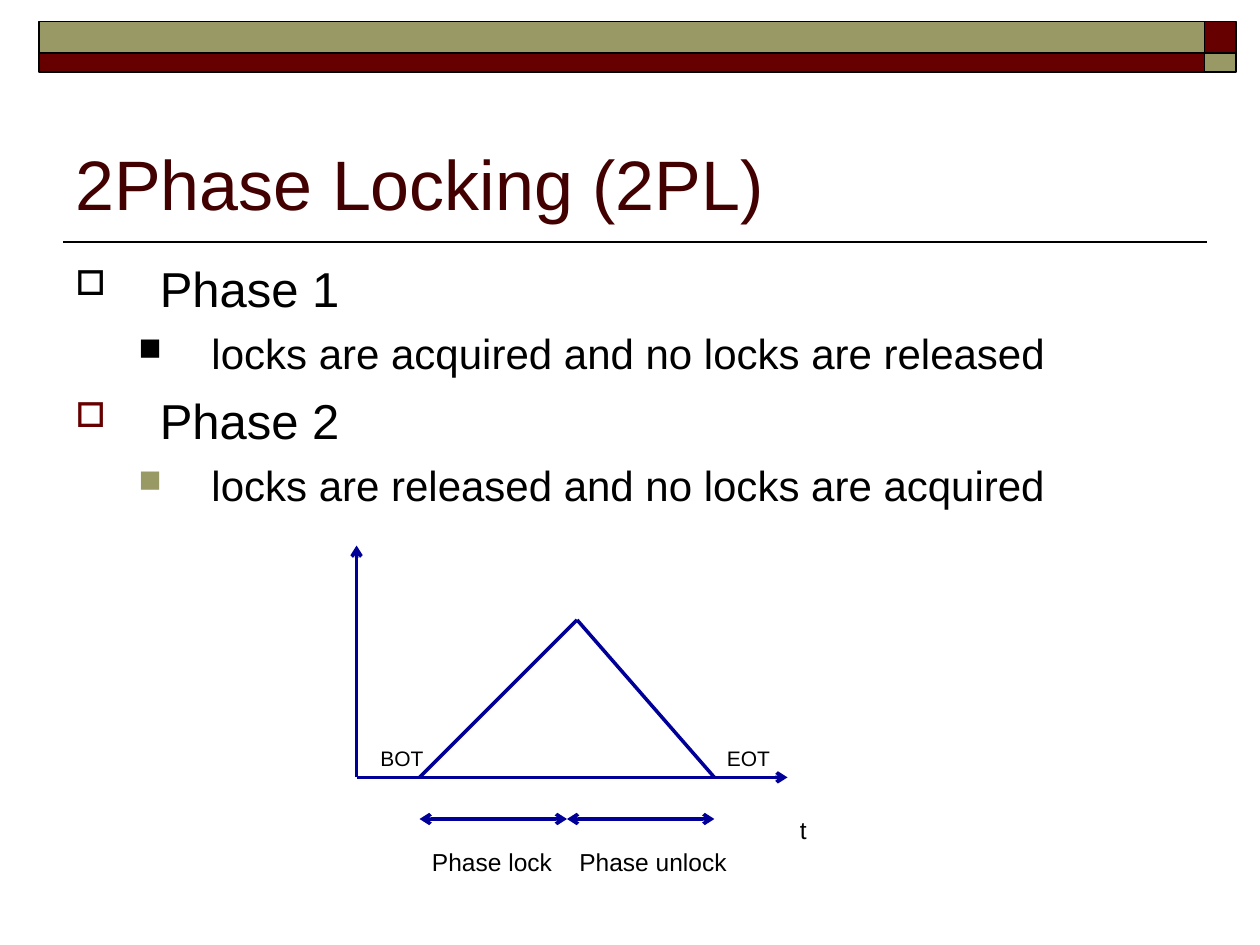
import pptx
import pptx.util
import pptx.dml.color
import pptx.enum.shapes
import pptx.enum.text
import lxml.etree
from pptx.util import Inches, Pt

BLACK, MAROON, OLIVE, NAVY = "000000", "660000", "999966", "000099"


def color(code):
    return pptx.dml.color.RGBColor.from_string(code)


def add(parent, tag, **attrs):
    node = lxml.etree.SubElement(parent, pptx.oxml.ns.qn(tag))
    for key, value in attrs.items():
        node.set(key, str(value))
    return node


deck = pptx.Presentation()
deck.slide_width, deck.slide_height = Inches(10), Inches(7.5)
slide = deck.slides.add_slide(deck.slide_layouts[6])
shapes = slide.shapes

# Header band: two rows, with the colours swapped in the right column
for left, width, fills in [(0.31, 9.25, (OLIVE, MAROON)), (9.56, 0.25, (MAROON, OLIVE))]:
    for top, height, fill in zip((0.17, 0.42), (0.25, 0.15), fills):
        bar = shapes.add_shape(pptx.enum.shapes.MSO_SHAPE.RECTANGLE,
                               Inches(left), Inches(top), Inches(width), Inches(height))
        bar.shadow.inherit = False
        bar.fill.solid()
        bar.fill.fore_color.rgb = color(fill)
        bar.line.color.rgb = color(BLACK)
        bar.line.width = Pt(1)

# Title rule, chart axes, lock curve and phase spans
lines = [
    (0.5, 1.92, 9.58, 1.92, BLACK, 1, ()),
    (2.83, 6.17, 2.83, 4.33, NAVY, 2, ("a:tailEnd",)),
    (2.83, 6.17, 6.25, 6.17, NAVY, 2, ("a:tailEnd",)),
    (3.33, 6.17, 4.58, 4.92, NAVY, 2, ()),
    (4.58, 4.92, 5.67, 6.17, NAVY, 2, ()),
    (3.33, 6.5, 4.5, 6.5, NAVY, 2, ("a:headEnd", "a:tailEnd")),
    (4.5, 6.5, 5.67, 6.5, NAVY, 2, ("a:headEnd", "a:tailEnd")),
]
for x1, y1, x2, y2, ink, weight, ends in lines:
    line = shapes.add_connector(pptx.enum.shapes.MSO_CONNECTOR.STRAIGHT,
                                Inches(x1), Inches(y1), Inches(x2), Inches(y2))
    line.line.color.rgb = color(ink)
    line.line.width = Pt(weight)
    for end in ends:
        add(line.line._get_or_add_ln(), end, type="arrow")
    add(line._element.spPr, "a:effectLst")

# Title and chart labels
labels = [
    ("2Phase Locking (2PL)", 0.5, 0.58, 9, 1.25, 40, "420000"),
    ("t", 6.25, 6.42, 0.58, 0.34, 14, BLACK),
    ("EOT", 5.67, 5.87, 0.58, 0.3, 12, BLACK),
    ("BOT", 2.92, 5.87, 0.58, 0.3, 12, BLACK),
    ("Phase lock", 3.33, 6.67, 1.42, 0.34, 14, BLACK),
    ("Phase unlock", 4.5, 6.67, 1.5, 0.34, 14, BLACK),
]
for text, left, top, width, height, size, ink in labels:
    box = shapes.add_textbox(Inches(left), Inches(top), Inches(width), Inches(height))
    frame = box.text_frame
    frame.word_wrap = True
    if size == 40:
        frame.vertical_anchor = pptx.enum.text.MSO_ANCHOR.BOTTOM
    para = frame.paragraphs[0]
    para.text = text
    para.font.name = "Arial"
    para.font.size = Pt(size)
    para.font.color.rgb = color(ink)

# Bulleted list
levels = [  # indent, hanging, space before, bullet, bullet percent, text size
    (0.67, 0.67, 7, "□", 70, 28),
    (1.08, 0.58, 6, "■", 75, 24),
]
items = [
    ("Phase 1", 0, BLACK),
    ("locks are acquired and no locks are released", 1, BLACK),
    ("Phase 2", 0, MAROON),
    ("locks are released and no locks are acquired", 1, OLIVE),
]
body = shapes.add_textbox(Inches(0.5), Inches(2), Inches(9), Inches(4.7)).text_frame
body.word_wrap = True
for i, (text, level, ink) in enumerate(items):
    indent, hang, space, mark, scale, size = levels[level]
    para = body.add_paragraph() if i else body.paragraphs[0]
    para.text = text
    para.level = level
    para.space_before = Pt(space)
    para.font.name = "Arial"
    para.font.size = Pt(size)
    para.font.color.rgb = color(BLACK)
    props = para._p.get_or_add_pPr()
    props.set("marL", str(Inches(indent)))
    props.set("indent", str(-Inches(hang)))
    # Bullet elements belong before the default run properties
    font = props.find(pptx.oxml.ns.qn("a:defRPr"))
    add(add(props, "a:buClr"), "a:srgbClr", val=ink)
    add(props, "a:buSzPct", val=scale * 1000)
    add(props, "a:buChar", char=mark)
    if font is not None:
        props.append(font)

deck.save("out.pptx")
